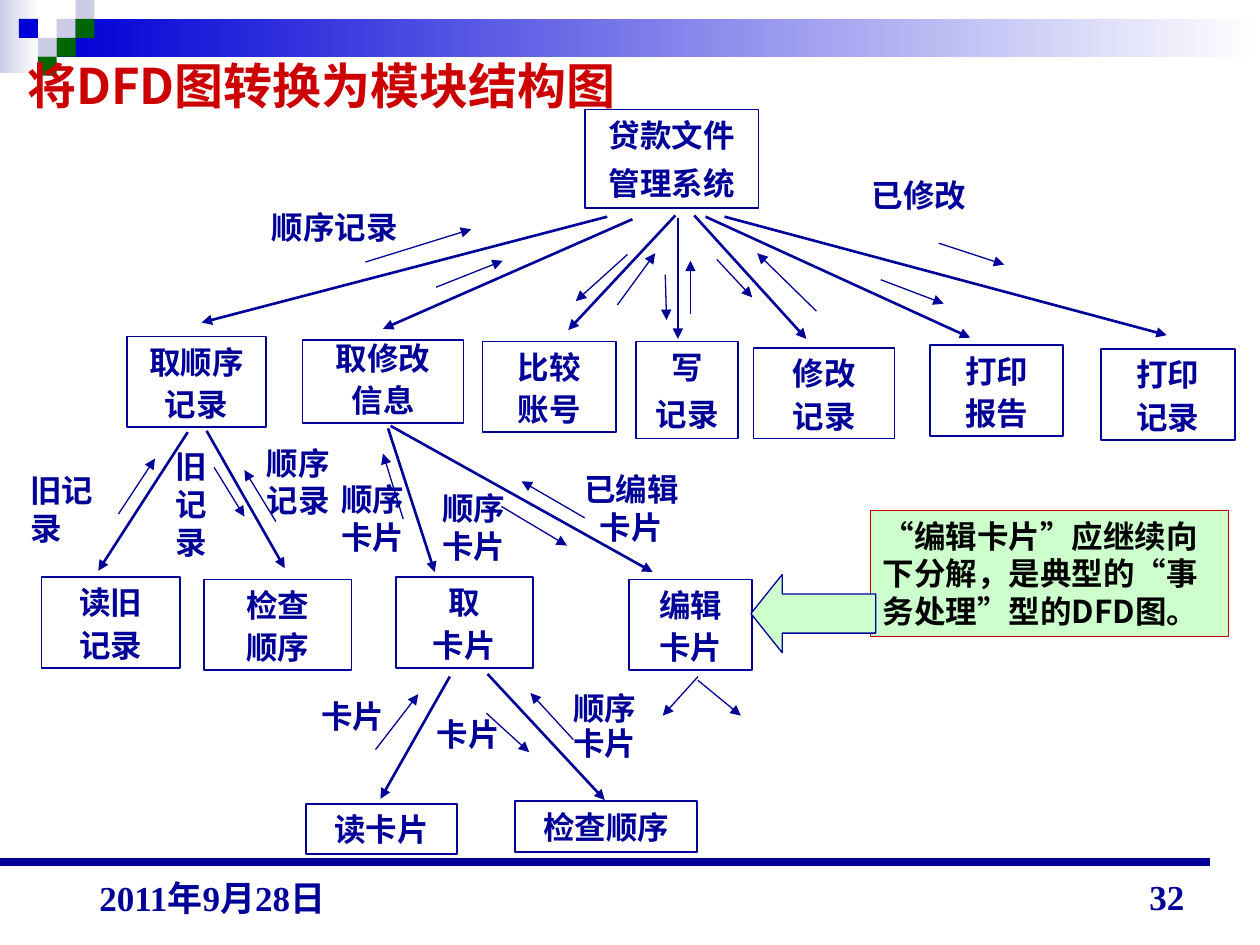
from dataclasses import dataclass
from typing import NamedTuple

from lxml.etree import SubElement
from pptx import Presentation
from pptx.dml.color import RGBColor
from pptx.enum.shapes import MSO_CONNECTOR, MSO_SHAPE
from pptx.enum.text import MSO_ANCHOR as Anchor, MSO_AUTO_SIZE, PP_ALIGN as Align
from pptx.oxml.ns import qn
from pptx.util import Cm, Pt


@dataclass(frozen=True)
class Theme:
    navy: RGBColor = RGBColor(0x00, 0x00, 0x99)
    blue: RGBColor = RGBColor(0x00, 0x00, 0xD6)
    lavender: RGBColor = RGBColor(0xCC, 0xCC, 0xE6)
    green: RGBColor = RGBColor(0x00, 0x66, 0x00)
    mint: RGBColor = RGBColor(0xCC, 0xFF, 0xCC)
    red: RGBColor = RGBColor(0xCC, 0x00, 0x00)
    black: RGBColor = RGBColor(0x00, 0x00, 0x00)
    white: RGBColor = RGBColor(0xFF, 0xFF, 0xFF)
    font: str = "Noto Sans CJK SC"
    footer_font: str = "Times New Roman"
    title_size: float = 28
    body_size: float = 18
    footer_size: float = 20
    paragraph_gap: float = 11.2
    thick: float = 1.5
    thin: float = 0.75
    outline: float = 1


THEME = Theme()


class Area(NamedTuple):
    left: float
    top: float
    width: float
    height: float


class Module(NamedTuple):
    area: Area
    lines: tuple[str, ...]
    spacing: tuple[float, ...] = (1, 0.55)


class Label(NamedTuple):
    area: Area
    lines: tuple[str, ...]
    align: Align = Align.LEFT
    wrap: bool = True


class Arrow(NamedTuple):
    x1: float
    y1: float
    x2: float
    y2: float


MODULES = [
    Module(Area(4.64, 0.87, 1.38, 0.78), ("贷款文件", "管理系统"), (1, 0.75)),
    Module(Area(1.01, 2.67, 1.1, 0.72), ("取顺序", "记录")),
    Module(Area(2.4, 2.7, 1.28, 0.66), ("取修改", "信息"), (0.8, 0.55)),
    Module(Area(3.83, 2.71, 1.06, 0.72), ("比较", "账号")),
    Module(Area(5.05, 2.71, 0.81, 0.77), ("写", "记录"), (1, 0.7)),
    Module(Area(5.98, 2.76, 1.12, 0.72), ("修改", "记录")),
    Module(Area(7.38, 2.74, 1.06, 0.72), ("打印", "报告")),
    Module(Area(8.74, 2.77, 1.06, 0.72), ("打印", "记录")),
    Module(Area(0.33, 4.58, 1.1, 0.72), ("读旧", "记录")),
    Module(Area(1.62, 4.6, 1.17, 0.72), ("检查", "顺序")),
    Module(Area(3.14, 4.58, 1.09, 0.72), ("取", "卡片")),
    Module(Area(4.99, 4.6, 0.98, 0.72), ("编辑", "卡片")),
    Module(Area(2.43, 6.38, 1.2, 0.4), ("读卡片",)),
    Module(Area(4.09, 6.36, 1.44, 0.4), ("检查顺序",)),
]

LABELS = [
    Label(Area(2.06, 1.6, 1.4, 0.4), ("顺序记录",)),
    Label(Area(6.82, 1.35, 1.27, 0.4), ("已修改",)),
    Label(Area(0.14, 3.69, 0.87, 0.7), ("旧记录",)),
    Label(Area(1.27, 3.5, 0.5, 1), ("旧记录",), Align.CENTER),
    Label(Area(2.02, 3.47, 0.75, 0.7), ("顺序记录",)),
    Label(Area(2.61, 3.76, 0.72, 0.7), ("顺序卡片",)),
    Label(Area(3.41, 3.83, 0.72, 0.7), ("顺序卡片",)),
    Label(Area(4.52, 3.68, 0.98, 0.7), ("已编辑卡片",), Align.CENTER),
    Label(Area(2.45, 5.48, 0.7, 0.4), ("卡片",), wrap=False),
    Label(Area(3.37, 5.62, 0.7, 0.4), ("卡片",), wrap=False),
    Label(Area(4.45, 5.42, 0.7, 0.65), ("顺序", "卡片"), wrap=False),
]

CALLS = [
    Arrow(4.82, 1.72, 1.6, 2.56), Arrow(5.02, 1.74, 3.04, 2.61),
    Arrow(5.36, 1.71, 4.51, 2.62), Arrow(5.38, 1.73, 5.38, 2.69),
    Arrow(5.51, 1.71, 6.4, 2.69), Arrow(5.6, 1.72, 7.7, 2.68),
    Arrow(5.75, 1.72, 9.26, 2.66), Arrow(1.49, 3.43, 0.78, 4.53),
    Arrow(1.64, 3.42, 2.26, 4.51), Arrow(3.08, 3.4, 3.45, 4.54),
    Arrow(3.1, 3.38, 5.18, 4.54), Arrow(3.57, 5.37, 3.02, 6.34),
    Arrow(3.87, 5.35, 4.8, 6.35),
]

DATA_FLOWS = [
    Arrow(2.9, 2.08, 3.74, 1.82), Arrow(3.46, 2.28, 3.99, 2.07),
    Arrow(4.98, 2.02, 4.57, 2.39), Arrow(4.9, 2.42, 5.2, 2.01),
    Arrow(5.28, 2.18, 5.29, 2.54), Arrow(5.48, 2.49, 5.48, 2.07),
    Arrow(5.69, 2.06, 5.97, 2.36), Arrow(6.48, 2.47, 6.01, 2.01),
    Arrow(6.99, 2.22, 7.49, 2.41), Arrow(7.45, 1.93, 7.97, 2.1),
    Arrow(0.94, 4.08, 1.23, 3.64), Arrow(1.7, 3.71, 1.94, 4.1),
    Arrow(2.19, 4.14, 1.94, 3.73), Arrow(3.2, 4.12, 3.04, 3.6),
    Arrow(3.98, 4.02, 4.5, 4.33), Arrow(4.64, 4.11, 4.14, 3.82),
    Arrow(2.98, 5.95, 3.32, 5.51), Arrow(3.86, 5.66, 4.2, 5.97),
    Arrow(4.55, 5.87, 4.21, 5.5), Arrow(5.54, 5.37, 5.26, 5.68),
    Arrow(5.54, 5.4, 5.88, 5.68),
]

SQUARE = 0.15
SQUARES = [
    (3, 1, THEME.lavender), (4, 0, THEME.lavender), (4, 1, THEME.green),
    (2, 2, THEME.lavender), (1, 1, THEME.blue), (3, 2, THEME.green),
    (2, 3, THEME.green),
]


def lengths(inches: tuple[float, ...]) -> list[Cm]:
    return [Cm(value * 2.54) for value in inches]


def write_text(shape, *lines: str, size: float = THEME.body_size, color: RGBColor = THEME.navy,
               font: str = THEME.font, align: Align = Align.LEFT, anchor: Anchor = Anchor.TOP,
               wrap: bool = True, spacing: tuple[float, ...] = (1, 1)) -> None:
    frame = shape.text_frame
    frame.auto_size = MSO_AUTO_SIZE.NONE
    frame.word_wrap = wrap
    frame.vertical_anchor = anchor
    frame.margin_left = frame.margin_right = Cm(0.25)
    frame.margin_top = frame.margin_bottom = Cm(0.13)
    for index, line in enumerate(lines):
        paragraph = frame.add_paragraph() if index else frame.paragraphs[0]
        paragraph.alignment = align
        paragraph.line_spacing = spacing[index]
        paragraph.space_before = Pt(THEME.paragraph_gap if index else 0)
        run = paragraph.add_run()
        run.text = line
        run.font.name, run.font.size, run.font.bold = font, Pt(size), True
        run.font.color.rgb = color
        SubElement(run.font._element, qn("a:ea"), typeface=THEME.font)


def add_text(slide, area: Area, *lines: str, **text_format) -> None:
    write_text(slide.shapes.add_textbox(*lengths(area)), *lines, **text_format)


def add_block(slide, area: Area, fill: RGBColor | None = None, line: RGBColor | None = None,
              width: float = THEME.outline, kind: MSO_SHAPE = MSO_SHAPE.RECTANGLE):
    shape = slide.shapes.add_shape(kind, *lengths(area))
    shape.shadow.inherit = False
    if fill is None:
        shape.fill.background()
    else:
        shape.fill.solid()
        shape.fill.fore_color.rgb = fill
    if line is None:
        shape.line.fill.background()
    else:
        shape.line.color.rgb = line
        shape.line.width = Pt(width)
    return shape


def add_fade(slide, area: Area, color: RGBColor) -> None:
    fill = add_block(slide, area).fill
    fill.gradient()
    fill.gradient_angle = 0
    for stop, shade in zip(fill.gradient_stops, (color, THEME.white)):
        stop.color.rgb = shade


def add_line(slide, arrow: Arrow, width: float, head: bool = True) -> None:
    connector = slide.shapes.add_connector(MSO_CONNECTOR.STRAIGHT, *lengths(arrow))
    connector.line.color.rgb = THEME.navy
    connector.line.width = Pt(width)
    if head:
        SubElement(connector.get_or_add_ln(), qn("a:tailEnd"), type="triangle")
    SubElement(connector.element.spPr, qn("a:effectLst"))


def main() -> None:
    presentation = Presentation()
    presentation.slide_width, presentation.slide_height = lengths((10, 7.5))
    slide = presentation.slides.add_slide(presentation.slide_layouts[5])

    add_fade(slide, Area(0, 0, 0.31, 0.58), THEME.lavender)
    add_fade(slide, Area(0.45, 0.15, 9.55, 0.3), THEME.blue)
    for column, row, color in SQUARES:
        add_block(slide, Area(column * SQUARE, row * SQUARE, SQUARE, SQUARE), color)
    add_line(slide, Arrow(0, 6.84, 9.6, 6.84), 4.5, head=False)

    title = slide.shapes.title
    title.left, title.top, title.width, title.height = lengths((0, 0.3, 5.1, 0.75))
    write_text(title, "将DFD图转换为模块结构图", size=THEME.title_size, color=THEME.red,
               align=Align.CENTER, anchor=Anchor.MIDDLE, wrap=False)
    title.element.getparent().append(title.element)

    for module in MODULES:
        write_text(add_block(slide, module.area, line=THEME.navy), *module.lines,
                   align=Align.CENTER, anchor=Anchor.MIDDLE, spacing=module.spacing)
    for arrows, width in ((CALLS, THEME.thick), (DATA_FLOWS, THEME.thin)):
        for arrow in arrows:
            add_line(slide, arrow, width)
    for label in LABELS:
        add_text(slide, label.area, *label.lines, align=label.align, wrap=label.wrap,
                 spacing=(1, 0.3))

    callout = add_block(slide, Area(6.91, 4.05, 2.84, 1), THEME.mint, THEME.red, THEME.thin)
    write_text(callout, "“编辑卡片”应继续向下分解，是典型的“事务处理”型的DFD图。", color=THEME.black)
    pointer = add_block(slide, Area(5.96, 4.56, 0.99, 0.62), THEME.mint, THEME.navy, THEME.thin,
                        MSO_SHAPE.LEFT_ARROW)
    pointer.adjustments[0], pointer.adjustments[1] = 0.5, 0.4

    footer = dict(size=THEME.footer_size, font=THEME.footer_font, anchor=Anchor.BOTTOM)
    add_text(slide, Area(0.69, 6.82, 2.33, 0.52), "2011年9月28日", **footer)
    add_text(slide, Area(7.17, 6.83, 2.33, 0.5), "32", align=Align.RIGHT, **footer)
    presentation.save("out.pptx")


if __name__ == "__main__":
    main()
